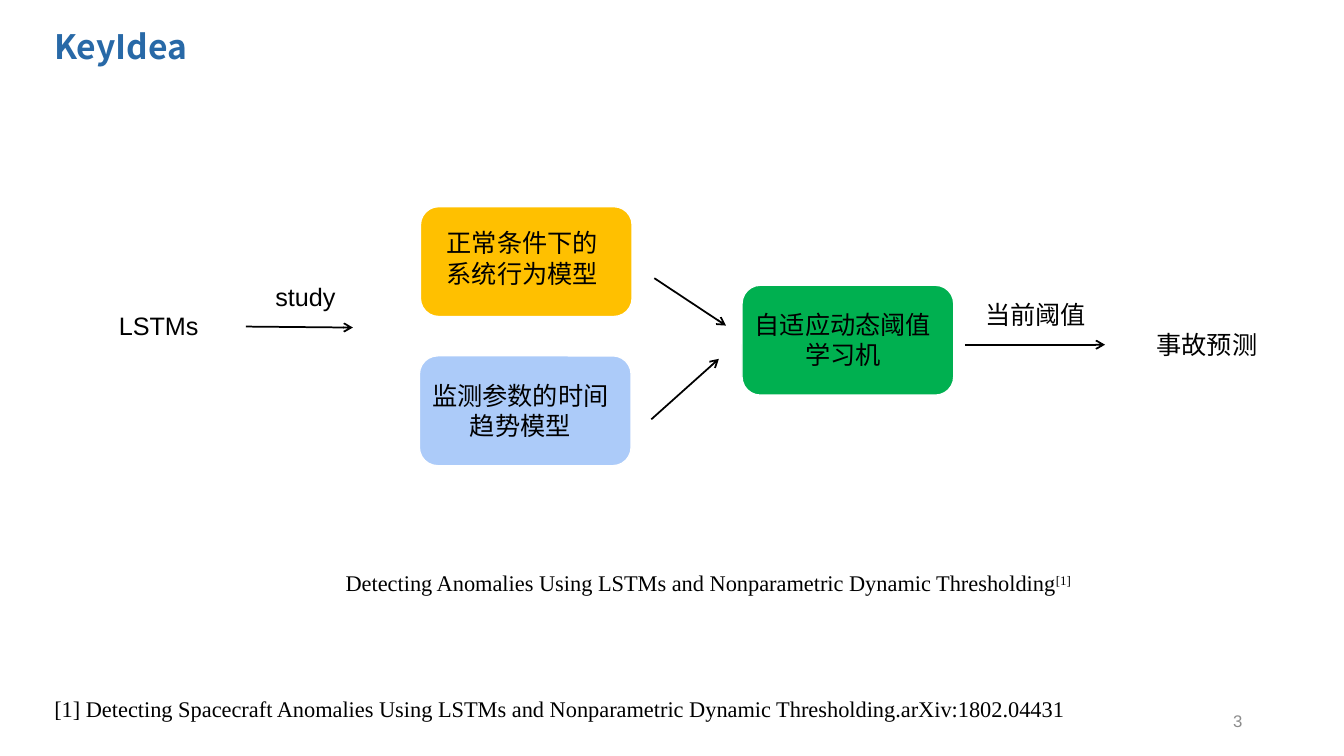
from lxml import etree
from pptx import Presentation, util as u
from pptx.dml import color
from pptx.enum import shapes, text
from pptx.oxml import ns

WIDTH, HEIGHT = 13.33, 7.5
MARGIN = 0.44
CARD_W, CARD_H = 2.1, 1.09
LINE_H = 0.4  # height of a one-line label
CJK_FONT = "Noto Sans CJK SC"
SERIF = "Times New Roman"
LEFT, CENTER, RIGHT = (text.PP_ALIGN.LEFT, text.PP_ALIGN.CENTER,
                       text.PP_ALIGN.RIGHT)


def rgb(value):
    return color.RGBColor.from_string(value)


def place(shape, left, top, width, height):
    shape.left, shape.top = u.Inches(left), u.Inches(top)
    shape.width, shape.height = u.Inches(width), u.Inches(height)


def write(box, words, size=18, font="Arial", ink="000000", bold=False,
          align=LEFT, anchor=text.MSO_ANCHOR.TOP, spacing=None,
          superscript=None):
    """Fill a box with one paragraph, optionally ending in a superscript."""
    frame = box.text_frame
    frame.word_wrap = True
    frame.vertical_anchor = anchor
    para = frame.paragraphs[0]
    para.alignment = align
    para.line_spacing = spacing
    para.space_before = u.Pt(0)
    for part in filter(None, (words, superscript)):
        span = para.add_run()
        span.text = part
        span.font.size, span.font.name = u.Pt(size), font
        span.font.bold = bold
        span.font.color.rgb = rgb(ink)
        props = span.font._element
        etree.SubElement(props, ns.qn("a:ea"), typeface=CJK_FONT)
        if part == superscript:
            props.set("baseline", "30000")


def label(parent, left, top, width, height, words, **style):
    box = parent.shapes.add_textbox(*map(u.Inches, (left, top, width, height)))
    write(box, words, **style)
    return box


def card(page, left, top, fill, words, inset=(0.01, 0.19), width=1.98):
    """Rounded card grouped with its label."""
    group = page.shapes.add_group_shape()
    body = group.shapes.add_shape(
        shapes.MSO_SHAPE.ROUNDED_RECTANGLE,
        *map(u.Inches, (left, top, CARD_W, CARD_H)))
    body.shadow.inherit = False
    body.fill.solid()
    body.fill.fore_color.rgb = rgb(fill)
    body.line.color.rgb = rgb("FFFFFF")
    body.line.width = u.Pt(1)
    label(group, left + inset[0], top + inset[1], width, 0.71, words,
          align=CENTER)


def arrow(page, left, top, across, down):
    line = page.shapes.add_connector(
        shapes.MSO_CONNECTOR.STRAIGHT,
        *map(u.Inches, (left, top, left + across, top + down)))
    line.line.color.rgb = rgb("000000")
    line.line.width = u.Pt(1.25)
    etree.SubElement(line.line._get_or_add_ln(), ns.qn("a:tailEnd"),
                     type="arrow")
    etree.SubElement(line._element.spPr, ns.qn("a:effectLst"))


def heading(page, left, top, width, height):
    title = page.shapes.title
    place(title, left, top, width, height)
    write(title, "KeyIdea", size=24, font=CJK_FONT, ink="2869A7", bold=True,
          anchor=text.MSO_ANCHOR.MIDDLE, spacing=0.9)


def flow(page, left, top):
    """Pipeline from the network to the prediction, from its top-left corner."""
    # Input and learning step
    label(page, left, top + 0.98, 1.28, LINE_H, "LSTMs")
    label(page, left + 1.31, top + 0.69, 1.28, LINE_H, "study", align=CENTER)
    arrow(page, left + 1.36, top + 1.19, 1.06, 0.01)
    # Two models
    card(page, left + 3.09, top, "FFC000", "正常条件下的系统行为模型",
         inset=(0.06, 0.16), width=1.9)
    card(page, left + 3.08, top + 1.48, "ACCBF9", "监测参数的时间趋势模型")
    arrow(page, left + 5.41, top + 0.71, 0.71, 0.47)
    arrow(page, left + 5.38, top + 2.11, 0.67, -0.6)
    # Threshold learner and result
    card(page, left + 6.28, top + 0.78, "00B050", "自适应动态阈值学习机")
    label(page, left + 8.5, top + 0.87, 1.38, LINE_H, "当前阈值",
          align=CENTER)
    arrow(page, left + 8.49, top + 1.37, 1.39, 0)
    label(page, left + 10.02, top + 1.17, 1.74, LINE_H, "事故预测",
          align=CENTER)


def references(page, left, top):
    """Caption, citation and page number."""
    label(page, left + 1.83, top, 9.51, 0.37,
          "Detecting Anomalies Using LSTMs and Nonparametric Dynamic "
          "Thresholding", size=16, font=SERIF, align=CENTER,
          superscript="[1]")
    label(page, left, top + 1.25, 10.3, 0.37,
          "[1] Detecting Spacecraft Anomalies Using LSTMs and Nonparametric "
          "Dynamic Thresholding.arXiv:1802.04431", size=16, font=SERIF)
    label(page, left + 8.98, top + 1.35, 3, LINE_H, "3", size=12,
          ink="8C8C8C", align=RIGHT, anchor=text.MSO_ANCHOR.MIDDLE)


def main():
    deck = Presentation()
    deck.slide_width, deck.slide_height = u.Inches(WIDTH), u.Inches(HEIGHT)
    page = deck.slides.add_slide(deck.slide_layouts.get_by_name("Title Only"))
    heading(page, MARGIN, 0.26, 3.54, 0.45)
    flow(page, 1.08, 2.05)
    references(page, MARGIN, 5.6)
    deck.save("out.pptx")


if __name__ == "__main__":
    main()
